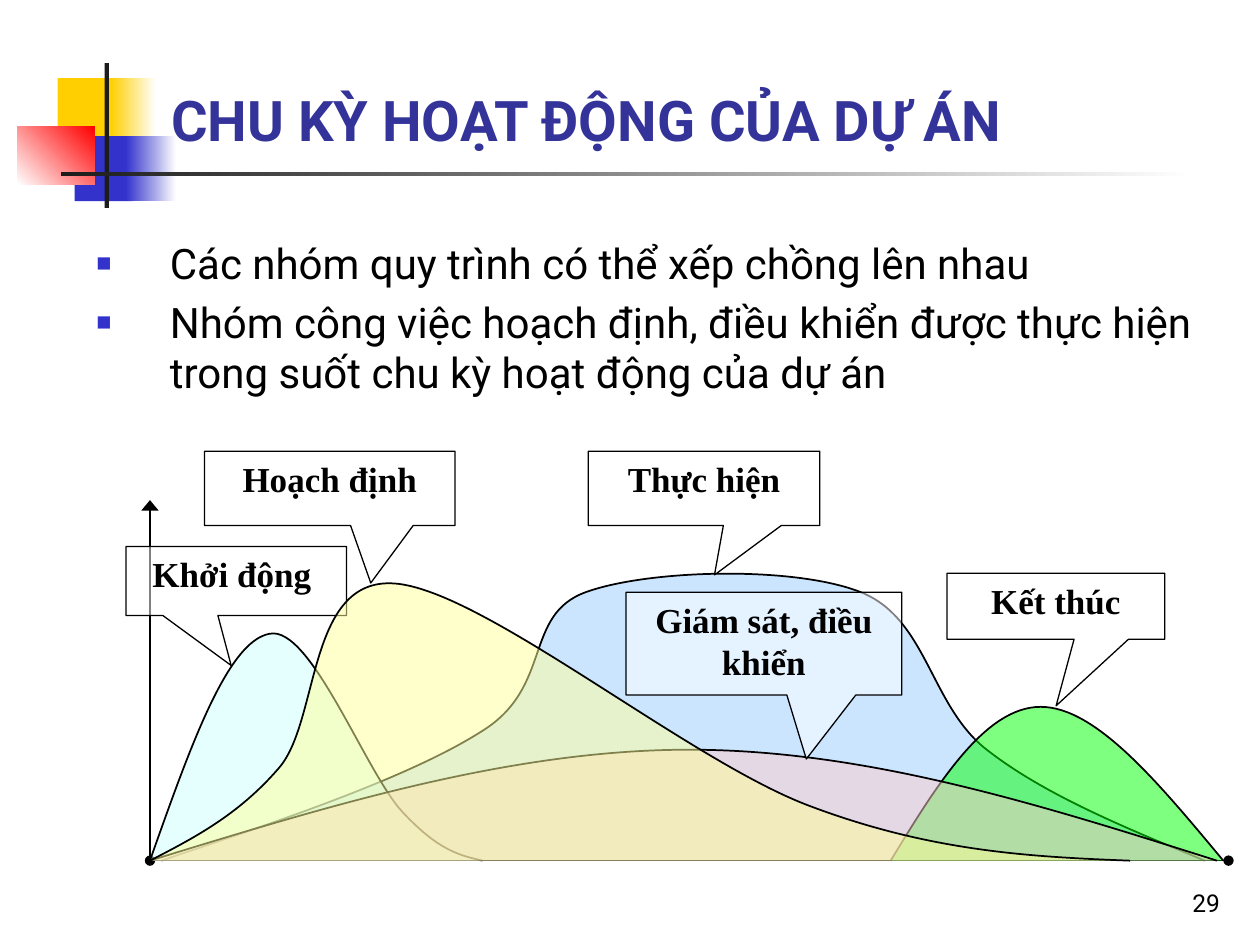
from dataclasses import dataclass
from itertools import chain

from lxml import etree
from pptx import Presentation
from pptx import util as u
from pptx.dml.color import RGBColor
from pptx.enum import shapes, text
from pptx.oxml.ns import qn

Pt = u.Pt
ALIGN = text.PP_ALIGN
ANCHOR = text.MSO_ANCHOR


@dataclass(frozen=True)
class Theme:
    yellow: str = "FFCF01"
    blue: str = "3333CC"
    red: str = "FF0000"
    dark: str = "1C1C1C"
    white: str = "FFFFFF"
    black: str = "000000"
    title: str = "333399"
    start: str = "CCFFFF"
    plan: str = "FFFF99"
    execute: str = "99CCFF"
    control: str = "FFCCCC"
    close: str = "00FF00"
    sans: str = "Roboto"
    serif: str = "Times New Roman"
    title_size: int = 32
    body_size: int = 24
    label_size: int = 20
    number_size: int = 14
    curve_line: float = 1
    thin_line: float = 0.75
    opacity: int = 50


def rgb(value):
    return RGBColor.from_string(value)


def add_xml(parent, tag, **attrs):
    return etree.SubElement(parent, qn(tag), attrs)


def apply(target, values):
    for name, value in values.items():
        setattr(target, name, value)


class Deck:
    def __init__(self, slide, theme):
        self.s, self.theme = slide, theme

    def _outline(self, line, width):
        line.color.rgb = rgb(self.theme.black)
        line.width = Pt(width)

    def _glass(self, sp, color, width):
        """Half-transparent fill with a black outline."""
        sp.shadow.inherit = False
        sp.fill.solid()
        sp.fill.fore_color.rgb = rgb(color)
        clr = sp.fill._xPr.find(qn("a:solidFill"))[0]
        add_xml(clr, "a:alpha", val=str(self.theme.opacity * 1000))
        self._outline(sp.line, width)

    def _write(self, tf, paragraphs, size, font, color, bold=False,
               align=ALIGN.LEFT, anchor=ANCHOR.TOP, bullet=None, gap=0, top=3.6):
        apply(tf, dict(word_wrap=True, vertical_anchor=anchor, margin_top=Pt(top)))
        for i, words in enumerate(paragraphs):
            p = tf.paragraphs[0] if i == 0 else tf.add_paragraph()
            p.alignment = align
            if bullet:
                self._bullet(p, bullet)
            if i and gap:
                p.space_before = Pt(gap)
            r = p.add_run()
            r.text = words
            apply(r.font, dict(size=Pt(size), name=font, bold=bold))
            r.font.color.rgb = rgb(color)

    def _bullet(self, p, color, indent=42):
        pPr = p._p.get_or_add_pPr()
        pPr.set("marL", str(Pt(indent)))
        pPr.set("indent", str(-Pt(indent)))
        add_xml(add_xml(pPr, "a:buClr"), "a:srgbClr", val=color)
        add_xml(pPr, "a:buSzPct", val="60000")
        add_xml(pPr, "a:buFont", typeface="Arial")
        add_xml(pPr, "a:buChar", char="■")

    def block(self, box, colors, angle=0):
        """Borderless rectangle: one colour is solid, two make a gradient."""
        sp = self.s.shapes.add_shape(shapes.MSO_SHAPE.RECTANGLE, *map(Pt, box))
        sp.shadow.inherit = False
        sp.line.fill.background()
        if len(colors) == 1:
            sp.fill.solid()
            sp.fill.fore_color.rgb = rgb(colors[0])
            return
        sp.fill.gradient()
        sp.fill.gradient_angle = angle
        for stop, color in zip(sp.fill.gradient_stops, colors):
            stop.color.rgb = rgb(color)

    def text(self, box, paragraphs, size, **style):
        sp = self.s.shapes.add_textbox(*map(Pt, box))
        self._write(sp.text_frame, paragraphs, size, self.theme.sans, **style)

    def axis(self, start, end, **ends):
        sp = self.s.shapes.add_connector(shapes.MSO_CONNECTOR.STRAIGHT,
                                         *map(Pt, start + end))
        self._outline(sp.line, self.theme.thin_line)
        ln = sp.line._get_or_add_ln()
        for name, kind in ends.items():
            add_xml(ln, f"a:{name}", **kind)
        add_xml(sp._element.spPr, "a:effectLst")

    def curve(self, color, start, *segments):
        """Open area through cubic segments of two handles and an end point."""
        builder = self.s.shapes.build_freeform(*map(Pt, start), scale=1.0)
        builder.add_line_segments([tuple(map(Pt, point))
                                   for point in chain(*segments)], close=False)
        sp = builder.convert_to_shape()
        lines = list(sp._element.iter(qn("a:lnTo")))
        outline = lines[0].getparent()
        for i in range(0, len(lines), 3):
            cubic = add_xml(outline, "a:cubicBezTo")
            for line in lines[i:i + 3]:
                cubic.append(line[0])
                outline.remove(line)
        self._glass(sp, color, self.theme.curve_line)

    def callout(self, box, tip, words):
        t = self.theme
        sp = self.s.shapes.add_shape(shapes.MSO_SHAPE.RECTANGULAR_CALLOUT,
                                     *map(Pt, box))
        sp.adjustments[0], sp.adjustments[1] = tip
        self._glass(sp, t.white, t.thin_line)
        self._write(sp.text_frame, [words], t.label_size, t.serif, t.black,
                    bold=True, align=ALIGN.CENTER)


def draw_decoration(d, t):
    d.block((33, 44.6, 34.6, 37.4), [t.yellow])
    d.block((63.4, 44.6, 25.6, 37.4), [t.yellow, t.white])
    d.block((42.7, 77.8, 33.1, 37.2), [t.blue])
    d.block((72, 77.8, 28.8, 37.2), [t.blue, t.white])
    d.block((10, 72.3, 44, 33.1), [t.white, t.red], angle=45)
    d.block((59.8, 36, 2.5, 82.8), [t.dark])
    d.block((34.8, 98.3, 648, 2.2), [t.dark, t.white])


def draw_text(d, t):
    d.text((554.4, 491.8, 149.8, 36), ["29"], t.number_size, color=t.black,
           align=ALIGN.RIGHT, anchor=ANCHOR.BOTTOM)
    d.text((90.7, 11.9, 613.4, 79.2), ["CHU KỲ HOẠT ĐỘNG CỦA DỰ ÁN"],
           t.title_size, color=t.title, bold=True, anchor=ANCHOR.BOTTOM)
    d.text((48, 84.2, 660, 396),
           ["Các nhóm quy trình có thể xếp chồng lên nhau",
            "Nhóm công việc hoạch định, điều khiển được thực hiện "
            "trong suốt chu kỳ hoạt động của dự án"],
           t.body_size, color=t.black, bullet=t.blue, gap=4.8, top=51.6)


def draw_cycle(d, t):
    base = 491.8
    origin = (85.7, base)
    dot = dict(type="oval")
    d.curve(t.execute, (92.2, base),
            ((163.4, 468), (235.4, 443.5), (275.8, 417.6)),
            ((316.1, 392.4), (298.8, 351.4), (334.8, 338.4)),
            ((370.8, 325.4), (453.6, 323.3), (491.8, 338.4)),
            ((529.9, 353.5), (531.4, 403.2), (563.8, 428.4)),
            ((596.9, 454.3), (643, 473), (688.3, base)))
    d.axis(origin, (85.7, 285.8), tailEnd=dict(type="triangle", w="lg"))
    d.axis(origin, (702, base), headEnd=dot, tailEnd=dot)
    d.curve(t.close, (509, base),
            ((535.7, 447.8), (563, 403.9), (594.7, 403.9)),
            ((626.4, 403.9), (662.4, 447.8), (699.1, base)))
    d.callout((116.9, 257.8, 143.1, 42.5), (0.164, 1.273), "Hoạch định")
    d.callout((336.2, 257.8, 132.3, 42.5), (0.045, 1.165), "Thực hiện")
    d.callout((541.2, 327.6, 124.4, 37.7), (0.001, 1.509), "Kết thúc")
    d.curve(t.start, origin,
            ((108, 429.1), (129.6, 366.5), (154.1, 362.2)),
            ((177.8, 357.1), (209.5, 442.8), (230.4, 464.4)),
            ((250.6, 486), (262.8, 488.9), (275.8, base)))
    d.callout((72, 312.3, 126, 39.4), (-0.023, 1.226), "Khởi động ")
    d.curve(t.control, origin,
            ((188.6, 460.1), (292.3, 428.4), (393.8, 428.4)),
            ((495.4, 428.4), (595.4, 460.1), (695.5, base)))
    d.curve(t.plan, origin,
            ((110.9, 478.8), (136.1, 465.8), (159.1, 439.2)),
            ((182.9, 412.6), (175, 329.8), (225.4, 333.4)),
            ((275.8, 337), (391.7, 433.4), (461.5, 460.1)),
            ((531.4, 486.7), (589, 489.6), (645.8, base)))
    d.callout((357.8, 338.4, 157.5, 58.8), (0.154, 1.122), "Giám sát, điều khiển")


def main():
    prs = Presentation()
    apply(prs, dict(slide_width=Pt(720), slide_height=Pt(540)))
    theme = Theme()
    deck = Deck(prs.slides.add_slide(prs.slide_layouts[6]), theme)
    for draw in (draw_decoration, draw_text, draw_cycle):
        draw(deck, theme)
    prs.save("out.pptx")


if __name__ == "__main__":
    main()
